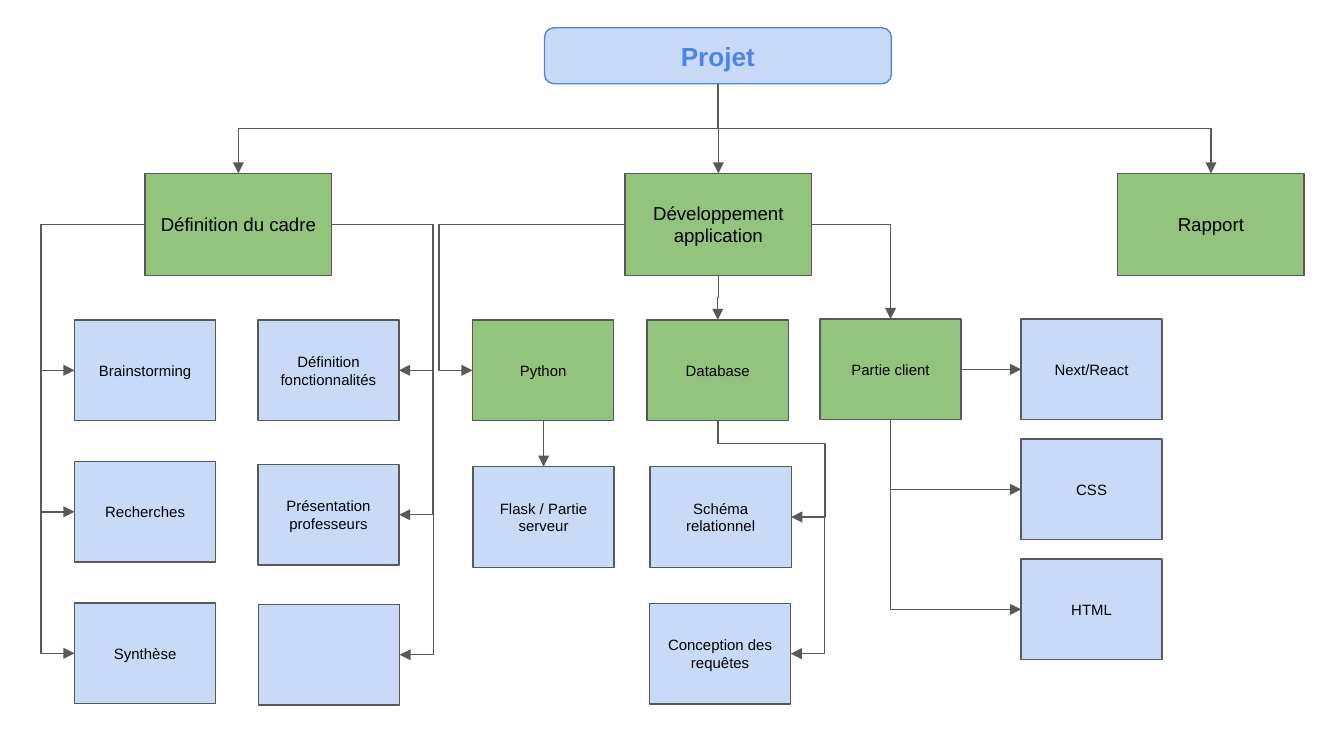
from lxml.etree import SubElement
from pptx import Presentation
from pptx.dml.color import RGBColor
from pptx.enum.shapes import MSO_CONNECTOR, MSO_SHAPE
from pptx.enum.text import MSO_ANCHOR, PP_ALIGN
from pptx.oxml.ns import qn
from pptx.util import Pt

COLORS = {
    "blue": "C9DAF8",
    "green": "93C47D",
    "accent": "4A86E8",
    "line": "595959",
    "text": "000000",
}
TOP, LEFT, BOTTOM, RIGHT = range(4)
LOOP = Pt(18)
DROP = Pt(12.2)

presentation = Presentation()
presentation.slide_width, presentation.slide_height = Pt(720), Pt(405)
slide = presentation.slides.add_slide(presentation.slide_layouts[6])
nodes = {}


def add_node(label, x, y, width, height, fill, size):
    is_root = label == "Projet"
    outline = MSO_SHAPE.ROUNDED_RECTANGLE if is_root else MSO_SHAPE.RECTANGLE
    node = slide.shapes.add_shape(outline, Pt(x), Pt(y), Pt(width), Pt(height))
    node.shadow.inherit = False
    node.fill.solid()
    node.fill.fore_color.rgb = RGBColor.from_string(COLORS[fill])
    node.line.color.rgb = RGBColor.from_string(COLORS["accent" if is_root else "line"])
    node.line.width = Pt(0.75)
    frame = node.text_frame
    frame.word_wrap = True
    frame.vertical_anchor = MSO_ANCHOR.MIDDLE
    frame.margin_left = frame.margin_right = Pt(7.2)
    frame.margin_top = frame.margin_bottom = Pt(7.2)
    paragraph = frame.paragraphs[0]
    paragraph.text = label
    paragraph.alignment = PP_ALIGN.CENTER
    paragraph.font.name = "Arial"
    paragraph.font.size = Pt(size)
    paragraph.font.bold = is_root
    paragraph.font.color.rgb = RGBColor.from_string(COLORS["accent" if is_root else "text"])
    nodes[label] = node


def add_link(start, start_side, end, end_side):
    link = slide.shapes.add_connector(MSO_CONNECTOR.ELBOW, 0, 0, 0, 0)
    link.begin_connect(nodes[start], start_side)
    link.end_connect(nodes[end], end_side)
    link.line.color.rgb = RGBColor.from_string(COLORS["line"])
    link.line.width = Pt(0.75)
    properties = link._element.spPr
    SubElement(properties.find(qn("a:ln")), qn("a:tailEnd"), type="triangle")
    SubElement(properties, qn("a:effectLst"))

    dx, dy = link.end_x - link.begin_x, link.end_y - link.begin_y
    if start_side == end_side:
        bends, adjustments = 3, [(abs(dx) + LOOP) / abs(dx)]
    elif (start_side, end_side) == (BOTTOM, RIGHT):
        bends, adjustments = 4, [DROP / dy, (dx + LOOP) / dx]
    elif {start_side, end_side} in ({TOP, BOTTOM}, {LEFT, RIGHT}):
        bends, adjustments = 3, [0.5]
    else:
        bends, adjustments = 2, []

    if start_side == BOTTOM:
        center_x = (link.begin_x + link.end_x) // 2
        center_y = (link.begin_y + link.end_y) // 2
        link.width, link.height = dy, abs(dx)
        link.left, link.top = center_x - dy // 2, center_y - abs(dx) // 2
        frame = properties.find(qn("a:xfrm"))
        frame.set("rot", "5400000" if dx < 0 else "16200000")
        frame.set("flipH", "0" if dx < 0 else "1")
        frame.set("flipV", "0")

    geometry = properties.find(qn("a:prstGeom"))
    geometry.set("prst", f"bentConnector{bends}")
    guides = geometry.find(qn("a:avLst"))
    for number, value in enumerate(adjustments, 1):
        SubElement(guides, qn("a:gd"), name=f"adj{number}", fmla=f"val {round(value * 100000)}")


add_node("Projet", 291.7, 14.9, 185.8, 30, "blue", 14)

for label, x in [
    ("Définition du cadre", 77.7),
    ("Développement application", 334.8),
    ("Rapport", 598.7),
]:
    add_node(label, x, 92.9, 100, 54.6, "green", 10)

for label, x, y in [
    ("Python", 253.2, 171.4),
    ("Database", 346.7, 171.4),
    ("Partie client", 439.3, 170.9),
]:
    add_node(label, x, y, 75.6, 54, "green", 8)

for label, x, y in [
    ("Définition fonctionnalités", 138.2, 171.4),
    ("Présentation professeurs", 138.2, 248.8),
    ("", 138.5, 323.8),
    ("Flask / Partie serveur", 253.4, 250),
    ("Schéma relationnel", 348.3, 250),
    ("Conception des requêtes", 348, 323.2),
]:
    add_node(label, x, y, 75.6, 54, "blue", 8)

for row, label in enumerate(["Brainstorming", "Recherches", "Synthèse"]):
    add_node(label, 40, 171.4 + 75.8 * row, 75.6, 54, "blue", 8)

for row, label in enumerate(["Next/React", "CSS", "HTML"]):
    add_node(label, 547, 170.9 + 64.3 * row, 75.6, 54, "blue", 8)

for start, start_side, end_side, ends in [
    ("Projet", BOTTOM, TOP, ["Définition du cadre", "Développement application", "Rapport"]),
    ("Définition du cadre", LEFT, LEFT, ["Brainstorming", "Recherches", "Synthèse"]),
    ("Définition du cadre", RIGHT, RIGHT,
     ["Définition fonctionnalités", "Présentation professeurs", ""]),
    ("Développement application", LEFT, LEFT, ["Python"]),
    ("Développement application", BOTTOM, TOP, ["Database"]),
    ("Développement application", RIGHT, TOP, ["Partie client"]),
    ("Python", BOTTOM, TOP, ["Flask / Partie serveur"]),
    ("Database", BOTTOM, RIGHT, ["Schéma relationnel", "Conception des requêtes"]),
    ("Partie client", RIGHT, LEFT, ["Next/React"]),
    ("Partie client", BOTTOM, LEFT, ["CSS", "HTML"]),
]:
    for end in ends:
        add_link(start, start_side, end, end_side)

presentation.save("out.pptx")
